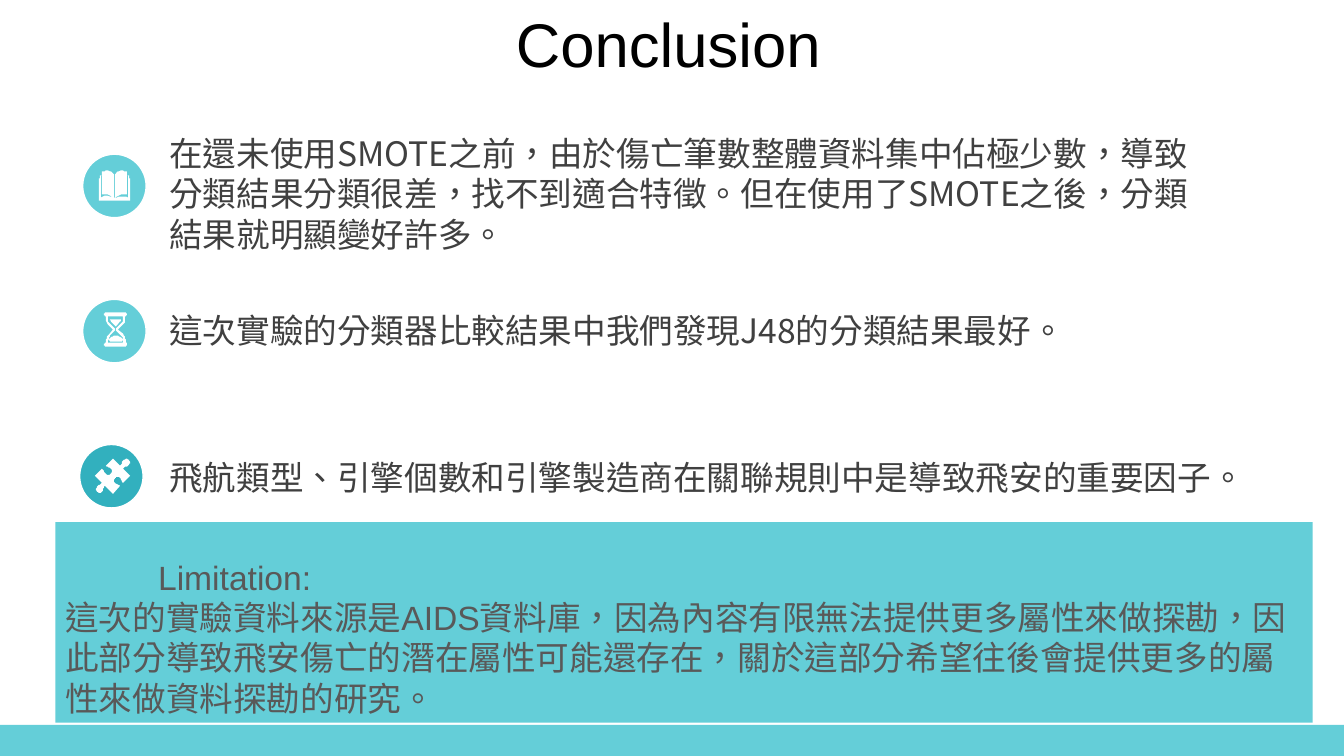
import pptx
import pptx.util
import pptx.dml.color
import pptx.enum.lang
import pptx.enum.shapes
import pptx.enum.text
import pptx.oxml

Inches, Pt = pptx.util.Inches, pptx.util.Pt
RGBColor = pptx.dml.color.RGBColor
MSO_SHAPE = pptx.enum.shapes.MSO_SHAPE
PP_ALIGN = pptx.enum.text.PP_ALIGN
MSO_ANCHOR = pptx.enum.text.MSO_ANCHOR

TEAL = RGBColor(0x64, 0xCE, 0xD8)
DARK_TEAL = RGBColor(0x32, 0xB0, 0xBE)
WHITE = RGBColor(0xFF, 0xFF, 0xFF)
BLACK = RGBColor(0, 0, 0)
TEXT = RGBColor(0x40, 0x40, 0x40)
GREY = RGBColor(0x59, 0x59, 0x59)
CJK = "Noto Sans CJK SC"
CURVE_STEPS = 6

BOOK = """M 113 196 C 113 196 114 197 114 196 C 119 195 122 194 127 196 L 127 174 L 126 174
C 126 181 126 187 126 193 C 122 192 118 193 114 196 L 114 173 C 116 171 118 169 121 169
C 122 169 124 170 126 170 C 126 171 126 172 126 174 L 128 174 L 128 177 L 129 177
L 129 199 L 98 199 L 98 177 L 99 177 L 99 174 L 101 174 C 101 172 101 171 101 170
C 103 170 105 169 106 169 C 109 169 111 171 113 173 L 113 196 C 109 193 105 192 101 193
L 101 174 L 100 174 L 100 196 C 105 193 108 195 113 196"""

HOURGLASS = """M 115 333 C 117 333 119 334 121 335 C 122 336 122 338 121 339 L 109 339
C 108 338 108 336 109 335 C 111 334 113 333 115 333
M 109 317 L 120 317 C 120 318 120 319 119 319 L 115 324 L 110 319 C 110 319 109 318 109 317
M 107 314 C 106 316 107 319 109 321 L 114 326 L 114 328 L 109 333 C 108 335 107 338 107 340
L 122 340 C 123 338 122 335 120 333 L 115 328 L 115 326 L 120 321 C 122 319 123 316 122 314
M 105 310 L 124 310 C 125 310 126 311 126 312 C 126 313 125 314 124 314
C 125 317 124 320 122 322 L 117 327 L 122 331 C 124 334 125 337 125 340
C 126 340 126 341 126 342 C 126 343 125 344 124 344 L 105 344 C 104 344 103 343 103 342
C 103 341 104 340 105 340 C 105 337 106 334 108 332 L 112 327 L 108 323
C 105 320 104 317 105 314 C 104 314 103 313 103 312 C 103 311 104 310 105 310"""

PUZZLE = """M 128 456 C 129 458 129 460 128 461 C 126 464 124 462 122 465 L 129 472 L 122 479
C 120 477 121 475 119 474 C 117 472 115 473 114 474 C 113 475 112 478 114 479
C 116 481 117 480 119 482 L 112 490 L 104 482 C 102 485 103 485 101 488
C 100 490 97 489 96 488 C 95 487 95 484 96 483 C 97 481 99 482 101 479 L 94 472 L 101 465
C 104 467 103 469 105 470 C 107 472 109 471 110 470 C 111 469 112 467 110 465
C 108 463 107 464 105 462 L 112 455 L 119 462 C 122 460 120 459 122 457
C 124 455 126 455 128 456"""

POINTS = [
    ("在還未使用SMOTE之前，由於傷亡筆數整體資料集中佔極少數，導致分類結果分類很差，找不到適合特徵。"
     "但在使用了SMOTE之後，分類結果就明顯變好許多。",
     (1.58, 1.27, 10.39, 1.31), (0.82, 1.53), TEAL, BOOK),
    ("這次實驗的分類器比較結果中我們發現J48的分類結果最好。",
     (1.58, 3.03, 10.74, 0.5), (0.82, 2.97), TEAL, HOURGLASS),
    ("飛航類型、引擎個數和引擎製造商在關聯規則中是導致飛安的重要因子。",
     (1.58, 4.48, 10.74, 0.5), (0.79, 4.41), DARK_TEAL, PUZZLE),
]
LIMITATION = [
    ("Limitation:", 0.92),
    ("這次的實驗資料來源是AIDS資料庫，因為內容有限無法提供更多屬性來做探勘，因此部分導致飛安傷亡的"
     "潛在屬性可能還存在，關於這部分希望往後會提供更多的屬性來做資料探勘的研究。", 0),
]

prs = pptx.Presentation()
prs.slide_width, prs.slide_height = Inches(13.33), Inches(7.5)
s = prs.slides.add_slide(prs.slide_layouts[5])


def add_preset(kind, box, color):
    sp = s.shapes.add_shape(kind, *map(Inches, box))
    sp.shadow.inherit = False
    sp.fill.solid()
    sp.fill.fore_color.rgb = color
    sp.line.fill.background()
    return sp


def write(p, text, name, color):
    p.alignment = PP_ALIGN.LEFT
    p.line_spacing = Pt(28.8)
    r = p.add_run()
    r.text = text
    look = {"size": Pt(24), "name": name,
            "language_id": pptx.enum.lang.MSO_LANGUAGE_ID.TRADITIONAL_CHINESE}
    for key, value in look.items():
        setattr(r.font, key, value)
    r.font.color.rgb = color
    ea = pptx.oxml.parse_xml(
        '<a:ea xmlns:a="http://schemas.openxmlformats.org/drawingml/2006/main" '
        f'typeface="{CJK}"/>')
    r._r.get_or_add_rPr().append(ea)


add_preset(MSO_SHAPE.RECTANGLE, (0, 7.19, 13.33, 0.31), TEAL)

title = s.shapes.title
place = {"left": 0.3, "top": 0.08, "width": 12.66, "height": 0.79}
for key, value in place.items():
    setattr(title, key, Inches(value))
tf = title.text_frame
tf.text = "Conclusion"
tf.auto_size = pptx.enum.text.MSO_AUTO_SIZE.NONE
tf.vertical_anchor = MSO_ANCHOR.MIDDLE
p = tf.paragraphs[0]
p.alignment = PP_ALIGN.CENTER
p.line_spacing = 0.9
for key, value in {"size": Pt(44), "name": "Arial"}.items():
    setattr(p.runs[0].font, key, value)
p.runs[0].font.color.rgb = BLACK

for text, box, (left, top), color, outline in POINTS:
    disc = add_preset(MSO_SHAPE.OVAL, (left, top, 0.63, 0.63), color)
    disc.line.color.rgb = WHITE
    disc.line.width = Pt(1)

    tf = s.shapes.add_textbox(*map(Inches, box)).text_frame
    tf.word_wrap = True
    write(tf.paragraphs[0], text, CJK, TEXT)

    tokens = iter(outline.split())
    builder = None
    for command in tokens:
        count = 6 if command == "C" else 2
        n = [float(next(tokens)) for _ in range(count)]
        end = tuple(n[-2:])
        if command == "M":
            if builder is None:
                builder = s.shapes.build_freeform(*end, scale=Inches(0.01))
            else:
                builder.move_to(*end)
        elif command == "L":
            builder.add_line_segments([end], close=False)
        else:
            curve = []
            for step in range(1, CURVE_STEPS + 1):
                t = step / CURVE_STEPS
                u = 1 - t
                curve.append(tuple(
                    u**3 * pen[i] + 3 * u * u * t * n[i]
                    + 3 * u * t * t * n[i + 2] + t**3 * n[i + 4]
                    for i in (0, 1)))
            builder.add_line_segments(curve, close=False)
        pen = end
    icon = builder.convert_to_shape()
    icon.shadow.inherit = False
    icon.fill.solid()
    icon.fill.fore_color.rgb = WHITE
    icon.line.fill.background()

panel = add_preset(MSO_SHAPE.RECTANGLE, (0.55, 5.18, 12.47, 1.99), TEAL)
tf = panel.text_frame
tf.word_wrap = True
tf.vertical_anchor = MSO_ANCHOR.BOTTOM
for i, (text, indent) in enumerate(LIMITATION):
    p = tf.add_paragraph() if i else tf.paragraphs[0]
    p._p.get_or_add_pPr().set("marL", str(Inches(indent)))
    write(p, text, "Arial", GREY)

prs.save("out.pptx")
